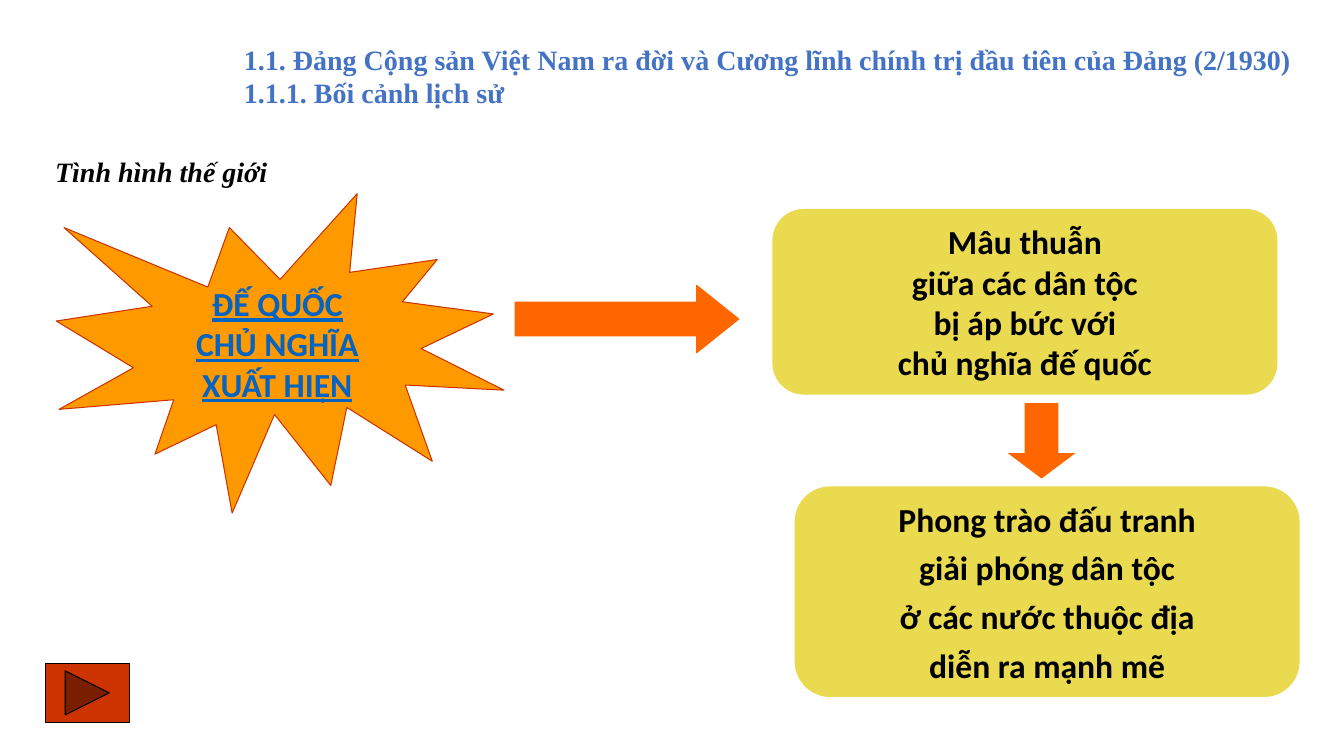
import pptx
import pptx.util
import pptx.dml.color
import pptx.enum.shapes
import pptx.enum.text
import pptx.oxml
import pptx.oxml.ns

Cm = pptx.util.Cm
Pt = pptx.util.Pt
KIND = pptx.enum.shapes.MSO_SHAPE
ALIGN = pptx.enum.text.PP_ALIGN
ANCHOR = pptx.enum.text.MSO_ANCHOR
HUES = {
    "title": "4472C4", "black": "000000", "link": "0563C1",
    "arrow": "FF6600", "star": "FF9900", "red": "CC3300", "box": "E9DA4F",
}


def hue(name):
    return pptx.dml.color.RGBColor.from_string(HUES[name])


def write(shape, lines, size, face, color, align, gap=0):
    """Fill a shape with bold paragraphs, gap points apart."""
    frame = shape.text_frame
    frame.word_wrap = True
    frame.text = "\n".join(lines)
    for i, para in enumerate(frame.paragraphs):
        para.alignment = align
        para.space_before = Pt(gap if i else 0)
        para.font.size = Pt(size)
        para.font.name = face
        para.font.bold = True
        para.font.color.rgb = hue(color)


deck = pptx.Presentation()
deck.slide_width = Cm(33.87)
deck.slide_height = Cm(19.05)
slide = deck.slides.add_slide(deck.slide_layouts[5])

# Title
title = slide.shapes.title
title.left, title.top, title.width, title.height = Cm(5.89), Cm(0.94), Cm(27.28), Cm(2.82)
title.text_frame.auto_size = pptx.enum.text.MSO_AUTO_SIZE.NONE
title.text_frame.vertical_anchor = ANCHOR.TOP
write(title, [
    "1.1. Đảng Cộng sản Việt Nam ra đời và Cương lĩnh chính trị đầu tiên của Đảng (2/1930)",
    "1.1.1. Bối cảnh lịch sử",
], 20, "Times New Roman", "title", ALIGN.LEFT)

# Bulleted heading
head = slide.shapes.add_textbox(Cm(1.14), Cm(3.76), Cm(7.19), Cm(1.11))
head.text_frame.text = "Tình hình thế giới"
props = head.text_frame.paragraphs[0]._p.get_or_add_pPr()
props.set("marL", str(Cm(0.95)))
props.set("indent", str(-Cm(0.95)))
space = pptx.oxml.ns.nsdecls("a")
for xml in (
    f'<a:buClr {space}><a:srgbClr val="{HUES["black"]}"/></a:buClr>',
    f'<a:buChar {space} char="❖"/>',
):
    props.append(pptx.oxml.parse_xml(xml))
write(head, ["Tình hình thế giới"], 20, "Times New Roman", "black", ALIGN.LEFT)
head.text_frame.paragraphs[0].font.italic = True

# Shapes: kind, left, top, width, height, fill, line, adjustments, lines, text colour, gap
parts = [
    (KIND.RIGHT_ARROW, 12.98, 7.19, 5.64, 1.7, "arrow", "arrow", (0.5, 0.625), [], None, 0),
    (KIND.EXPLOSION1, 1.42, 4.88, 11.28, 8.05, "star", "red", (),
     ["ĐẾ QUỐC", "CHỦ NGHĨA", "XUẤT HIỆN"], "link", 0),
    (KIND.FLOWCHART_ALTERNATE_PROCESS, 19.48, 5.28, 12.7, 4.65, "box", "box", (),
     ["Mâu thuẫn", "giữa các dân tộc", "bị áp bức với", "chủ nghĩa đế quốc"], "black", 0),
    (KIND.FLOWCHART_ALTERNATE_PROCESS, 20.04, 12.27, 12.7, 5.28, "box", "box", (),
     ["Phong trào đấu tranh", "giải phóng dân tộc", "ở các nước thuộc địa",
      "diễn ra mạnh mẽ"], "black", 6),
    (KIND.DOWN_ARROW, 25.4, 10.16, 1.7, 1.9, "arrow", None, (0.5, 0.375), [], None, 0),
    (KIND.ACTION_BUTTON_FORWARD_OR_NEXT, 1.14, 16.72, 2.12, 1.48, "red", "black", (),
     [], None, 0),
]
for kind, left, top, width, height, fill, line, bends, lines, color, gap in parts:
    shape = slide.shapes.add_shape(kind, Cm(left), Cm(top), Cm(width), Cm(height))
    shape.shadow.inherit = False
    shape.fill.solid()
    shape.fill.fore_color.rgb = hue(fill)
    if line:
        shape.line.color.rgb = hue(line)
        shape.line.width = Pt(0.75)
    else:
        shape.line.fill.background()
    for i, bend in enumerate(bends):
        shape.adjustments[i] = bend
    if lines:
        shape.text_frame.vertical_anchor = ANCHOR.MIDDLE
        write(shape, lines, 24, "Calibri", color, ALIGN.CENTER, gap)
    if color == "link":
        for para in shape.text_frame.paragraphs:
            para.font.underline = True

deck.save("out.pptx")
